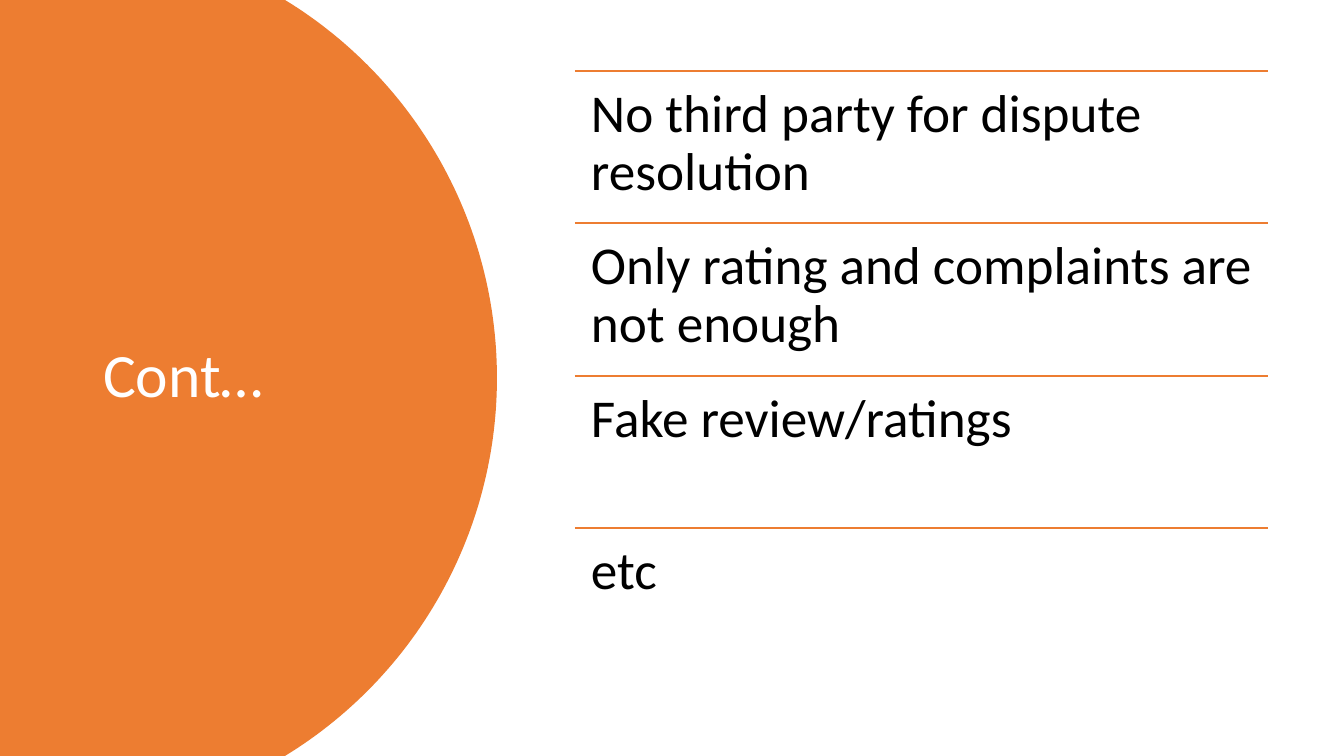
from math import asin, cos, sin

from lxml.etree import SubElement
from pptx import Presentation
from pptx.dml.color import RGBColor
from pptx.enum.shapes import MSO_CONNECTOR
from pptx.enum.text import MSO_ANCHOR, PP_ALIGN
from pptx.oxml.ns import qn
from pptx.util import Pt

EMU_PER_PX = 914400 / 100.8
WIDTH, HEIGHT = 1344, 756
COLORS = {"accent": "ED7D31", "title": "FFFFFF", "text": "000000"}
ITEMS = [
    "No third party for dispute resolution",
    "Only rating and complaints are not enough",
    "Fake review/ratings",
    "etc",
]


def px(n):
    return round(n * EMU_PER_PX)


class Deck:
    """Draws styled elements on the current slide."""

    font = "Calibri"

    def __init__(self):
        self.prs = Presentation()
        self.prs.slide_width, self.prs.slide_height = px(WIDTH), px(HEIGHT)
        self.s = self.prs.slides.add_slide(self.prs.slide_layouts[5])

    def color(self, name):
        return RGBColor.from_string(COLORS[name])

    def fill_text(self, tf, text, size, color, anchor):
        tf.word_wrap = True
        tf.vertical_anchor = anchor
        p = tf.paragraphs[0]
        p.alignment = PP_ALIGN.LEFT
        p.line_spacing = 0.9
        r = p.add_run()
        r.text = text
        r.font.name, r.font.size = self.font, Pt(size)
        r.font.color.rgb = self.color(color)

    def title(self, text, x, y, w, h):
        sp = self.s.shapes.title
        sp.left, sp.top, sp.width, sp.height = map(px, (x, y, w, h))
        self.fill_text(sp.text_frame, text, 44, "title", MSO_ANCHOR.MIDDLE)

    def text(self, text, x, y, w, h, inset=16):
        sp = self.s.shapes.add_textbox(*map(px, (x, y, w, h)))
        tf = sp.text_frame
        tf.margin_left = tf.margin_right = px(inset)
        tf.margin_top = tf.margin_bottom = px(inset)
        self.fill_text(tf, text, 38, "text", MSO_ANCHOR.TOP)

    def rule(self, x, y, w):
        line = self.s.shapes.add_connector(
            MSO_CONNECTOR.STRAIGHT, px(x), px(y), px(x + w), px(y))
        line.line.color.rgb = self.color("accent")
        line.line.width = Pt(1)
        SubElement(line._element.spPr, qn("a:effectLst"))

    def disc(self, center_x, radius, steps=120):
        mid = HEIGHT / 2
        reach = asin(mid / radius)
        angles = [reach * (2 * i / steps - 1) for i in range(steps + 1)]
        arc = [(px(center_x + radius * cos(a)), px(mid + radius * sin(a)))
               for a in angles]
        builder = self.s.shapes.build_freeform(0, 0)
        builder.add_line_segments(arc + [(0, px(HEIGHT))], close=True)
        sp = builder.convert_to_shape()
        sp.shadow.inherit = False
        sp.fill.solid()
        sp.fill.fore_color.rgb = self.color("accent")
        sp.line.fill.background()
        self.s.shapes._spTree.insert(2, sp._element)


def main():
    deck = Deck()
    deck.disc(54, 443)
    deck.title("Cont…", 93, 71, 326, 614)
    left, top, width, height = 575, 71, 693, 152
    for i, item in enumerate(ITEMS):
        y = top + i * 305 // 2
        deck.rule(left, y, width)
        deck.text(item, left, y, width, height)
    deck.prs.save("out.pptx")


if __name__ == "__main__":
    main()
